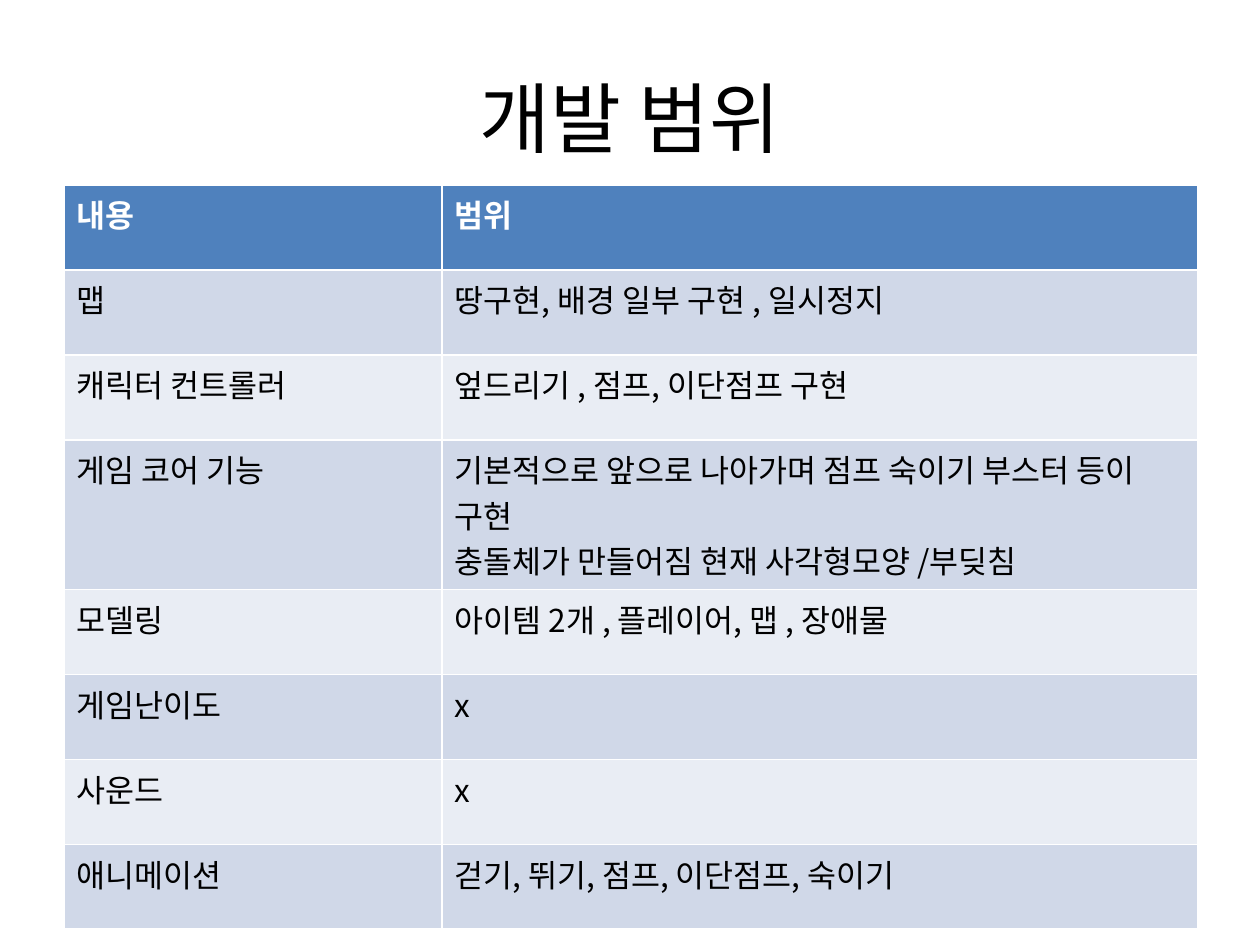
"""Build the development scope slide with its table."""
from typing import NamedTuple

from lxml.etree import SubElement
from pptx import Presentation
from pptx.dml.color import RGBColor as RGB
from pptx.enum.text import MSO_ANCHOR as Anchor, PP_ALIGN as Align
from pptx.oxml.ns import qn
from pptx.util import Emu, Pt

FONT = "Noto Sans CJK KR"
BLACK = RGB(0x00, 0x00, 0x00)
WHITE = RGB(0xFF, 0xFF, 0xFF)
BLUE = RGB(0x4F, 0x81, 0xBD)
BANDS = (RGB(0xE9, 0xED, 0xF4), RGB(0xD0, 0xD8, 0xE8))


class Row(NamedTuple):
    topic: str
    scope: str
    high: int = 85


ROWS = (
    Row("내용", "범위"),
    Row("맵", "땅구현, 배경 일부 구현 , 일시정지"),
    Row("캐릭터 컨트롤러", "엎드리기 , 점프, 이단점프 구현"),
    Row("게임 코어 기능",
        "기본적으로 앞으로 나아가며 점프 숙이기 부스터 등이 구현\n"
        "충돌체가 만들어짐 현재 사각형모양 /부딪침", 136),
    Row("모델링", "아이템 2개 , 플레이어, 맵 , 장애물"),
    Row("게임난이도", "x"),
    Row("사운드", "x"),
    Row("애니메이션", "걷기, 뛰기, 점프, 이단점프, 숙이기"),
)
COLS = (378, 756)


def px(count: int) -> Emu:
    return Emu(round(count * 914400 / 126))


def write(frame, text: str, size: int, color: RGB, bold: bool = False) -> None:
    frame.text = text
    for para in frame.paragraphs:
        font = para.font
        font.size, font.bold, font.name = Pt(size), bold, FONT
        font.color.rgb = color
        SubElement(font._element, qn("a:ea"), typeface=FONT)


def add_title(slide, text: str) -> None:
    title = slide.shapes.title
    title.left, title.top = px(63), px(38)
    title.width, title.height = px(1134), px(157)
    frame = title.text_frame
    frame.vertical_anchor = Anchor.MIDDLE
    write(frame, text, 44, BLACK)
    frame.paragraphs[0].alignment = Align.CENTER


def add_scope(slide) -> None:
    high = sum(row.high for row in ROWS)
    table = slide.shapes.add_table(
        len(ROWS), len(COLS), px(64), px(185), px(sum(COLS)), px(high)
    ).table
    for col, wide in zip(table.columns, COLS):
        col.width = px(wide)
    for i, row in enumerate(ROWS):
        table.rows[i].height = px(row.high)
        head = i == 0
        for j, text in enumerate((row.topic, row.scope)):
            cell = table.cell(i, j)
            cell.fill.solid()
            cell.fill.fore_color.rgb = BLUE if head else BANDS[i % 2]
            write(cell.text_frame, text, 18, WHITE if head else BLACK, head)


def main() -> None:
    deck = Presentation()
    deck.slide_width, deck.slide_height = px(1260), px(945)
    slide = deck.slides.add_slide(deck.slide_layouts[5])
    add_title(slide, "개발 범위")
    add_scope(slide)
    deck.save("out.pptx")


main()
